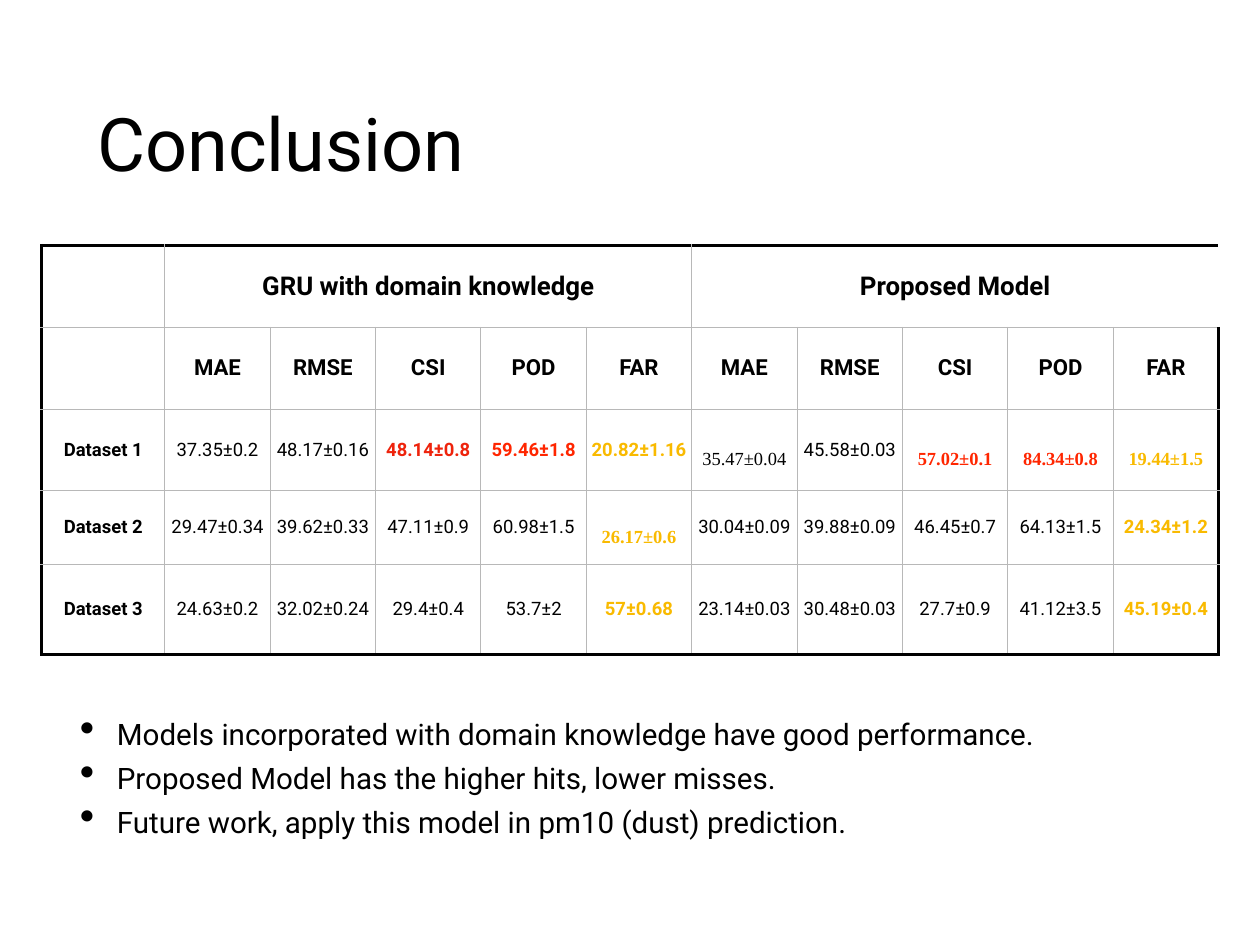
from lxml import etree
from pptx import Presentation
from pptx.dml.color import RGBColor
from pptx.enum.text import MSO_ANCHOR, PP_ALIGN
from pptx.oxml.ns import qn
from pptx.util import Pt

MIDDLE = MSO_ANCHOR.MIDDLE
LEFT, CENTER = PP_ALIGN.LEFT, PP_ALIGN.CENTER

SANS, SERIF = "Roboto", "Times New Roman"
BLACK, WHITE, GREY = "000000", "FFFFFF", "B8B8B8"
CRIMSON, RED, AMBER = "EE230C", "FF2600", "F9BA00"

COLUMN_WIDTHS = [100] + [85.65] * 10
ROW_HEIGHTS = [66.5, 66.5, 66.5, 59.5, 73.5]
METRICS = ["MAE", "RMSE", "CSI", "POD", "FAR"]
GROUPS = {1: "GRU with domain knowledge", 6: "Proposed Model"}
RESULTS = [
    ["Dataset 1", "37.35±0.2", "48.17±0.16", "48.14±0.8", "59.46±1.8", "20.82±1.16",
     "35.47±0.04", "45.58±0.03", "57.02±0.1", "84.34±0.8", "19.44±1.5"],
    ["Dataset 2", "29.47±0.34", "39.62±0.33", "47.11±0.9", "60.98±1.5", "26.17±0.6",
     "30.04±0.09", "39.88±0.09", "46.45±0.7", "64.13±1.5", "24.34±1.2"],
    ["Dataset 3", "24.63±0.2", "32.02±0.24", "29.4±0.4", "53.7±2", "57±0.68",
     "23.14±0.03", "30.48±0.03", "27.7±0.9", "41.12±3.5", "45.19±0.4"],
]
HIT_COLORS = {(2, 3): CRIMSON, (2, 4): RED, (2, 8): RED, (2, 9): RED}
FAR_COLUMNS = (5, 10)
SERIF_CELLS = {(2, 6), (2, 8), (2, 9), (2, 10), (3, 5)}
FINDINGS = [
    "Models incorporated with domain knowledge have good performance.",
    "Proposed Model has the higher hits, lower misses.",
    "Future work, apply this model in pm10 (dust) prediction.",
]


def rgb(color):
    return RGBColor.from_string(color)


class Deck:
    """Holds the presentation, the current slide and the shared text style."""

    inset = Pt(4)

    def __init__(self, width, height):
        self.prs = Presentation()
        self.prs.slide_width, self.prs.slide_height = Pt(width), Pt(height)
        self.slide = self.prs.slides.add_slide(self.prs.slide_layouts[5])

    def pad(self, box):
        box.margin_left = box.margin_right = self.inset
        box.margin_top = box.margin_bottom = self.inset
        box.vertical_anchor = MIDDLE

    def run(self, p, text, size, color=BLACK, bold=False, font=SANS):
        r = p.add_run()
        r.text = text
        r.font.size, r.font.bold, r.font.name = Pt(size), bold, font
        r.font.color.rgb = rgb(color)

    def title(self, text, x, y, w, h):
        sp = self.slide.shapes.title
        sp.left, sp.top, sp.width, sp.height = Pt(x), Pt(y), Pt(w), Pt(h)
        self.pad(sp.text_frame)
        p = sp.text_frame.paragraphs[0]
        p.alignment = LEFT
        self.run(p, text, 60)

    def bullets(self, items, x, y, w, h, indent=30):
        tf = self.slide.shapes.add_textbox(Pt(x), Pt(y), Pt(w), Pt(h)).text_frame
        tf.word_wrap = True
        self.pad(tf)
        for i, item in enumerate(items):
            p = tf.add_paragraph() if i else tf.paragraphs[0]
            pPr = p._p.get_or_add_pPr()
            pPr.set("marL", str(Pt(indent)))
            pPr.set("indent", str(-Pt(indent)))
            etree.SubElement(pPr, qn("a:buSzPct"), val="145000")
            etree.SubElement(pPr, qn("a:buChar"), char="•")
            if i:
                p.space_before = Pt(7)
            self.run(p, item, 24)

    def table(self, x, y, widths, heights):
        frame = self.slide.shapes.add_table(len(heights), len(widths), Pt(x), Pt(y),
                                            Pt(sum(widths)), Pt(sum(heights)))
        table = frame.table
        table.first_row = table.horz_banding = False
        for column, width in zip(table.columns, widths):
            column.width = Pt(width)
        for row, height in zip(table.rows, heights):
            row.height = Pt(height)
        return table

    def cell(self, cell, text, size, color, bold, font):
        self.pad(cell)
        p = cell.text_frame.paragraphs[0]
        p.alignment = CENTER
        if font == SERIF:
            p.line_spacing = Pt(32)
        if text:
            self.run(p, text, size, color, bold, font)

    def borders(self, cell, outer_sides):
        """Draw the sides in the mapping: True is the frame, False the grid."""
        cell.fill.solid()
        cell.fill.fore_color.rgb = rgb(WHITE)
        tcPr = cell._tc.get_or_add_tcPr()
        for i, (side, outer) in enumerate(outer_sides.items()):
            ln = etree.Element(qn("a:ln" + side), w=str(Pt(3 if outer else 1)))
            fill = etree.SubElement(ln, qn("a:solidFill"))
            etree.SubElement(fill, qn("a:srgbClr"), val=BLACK if outer else GREY)
            tcPr.insert(i, ln)


def cell_style(row, col):
    """Return size, colour, bold and font for a table position."""
    if row < 2:
        return (21, 18)[row], BLACK, True, SANS
    color = AMBER if col in FAR_COLUMNS else HIT_COLORS.get((row, col), BLACK)
    font = SERIF if (row, col) in SERIF_CELLS else SANS
    return 15, color, col == 0 or color != BLACK, font


def add_results(deck):
    table = deck.table(34, 199.5, COLUMN_WIDTHS, ROW_HEIGHTS)
    last_row, last_col = len(ROW_HEIGHTS) - 1, len(COLUMN_WIDTHS) - 1
    header = [GROUPS.get(col, "") for col in range(last_col + 1)]
    for row, texts in enumerate([header, [""] + METRICS * 2] + RESULTS):
        for col, text in enumerate(texts):
            cell = table.cell(row, col)
            deck.cell(cell, text, *cell_style(row, col))
            sides = {"L": col == 0, "R": col == last_col,
                     "T": row == 0, "B": row == last_row}
            if row == 0 and col > 0:
                if col not in GROUPS:
                    del sides["L"]
                if col not in FAR_COLUMNS:
                    del sides["R"]
            deck.borders(cell, sides)
    for col in GROUPS:
        table.cell(0, col).merge(table.cell(0, col + len(METRICS) - 1))


def main():
    deck = Deck(1024, 768)
    deck.title("Conclusion", 75, 20, 874, 190)
    add_results(deck)
    deck.bullets(FINDINGS, 61, 577, 799, 110)
    deck.prs.save("out.pptx")


if __name__ == "__main__":
    main()
